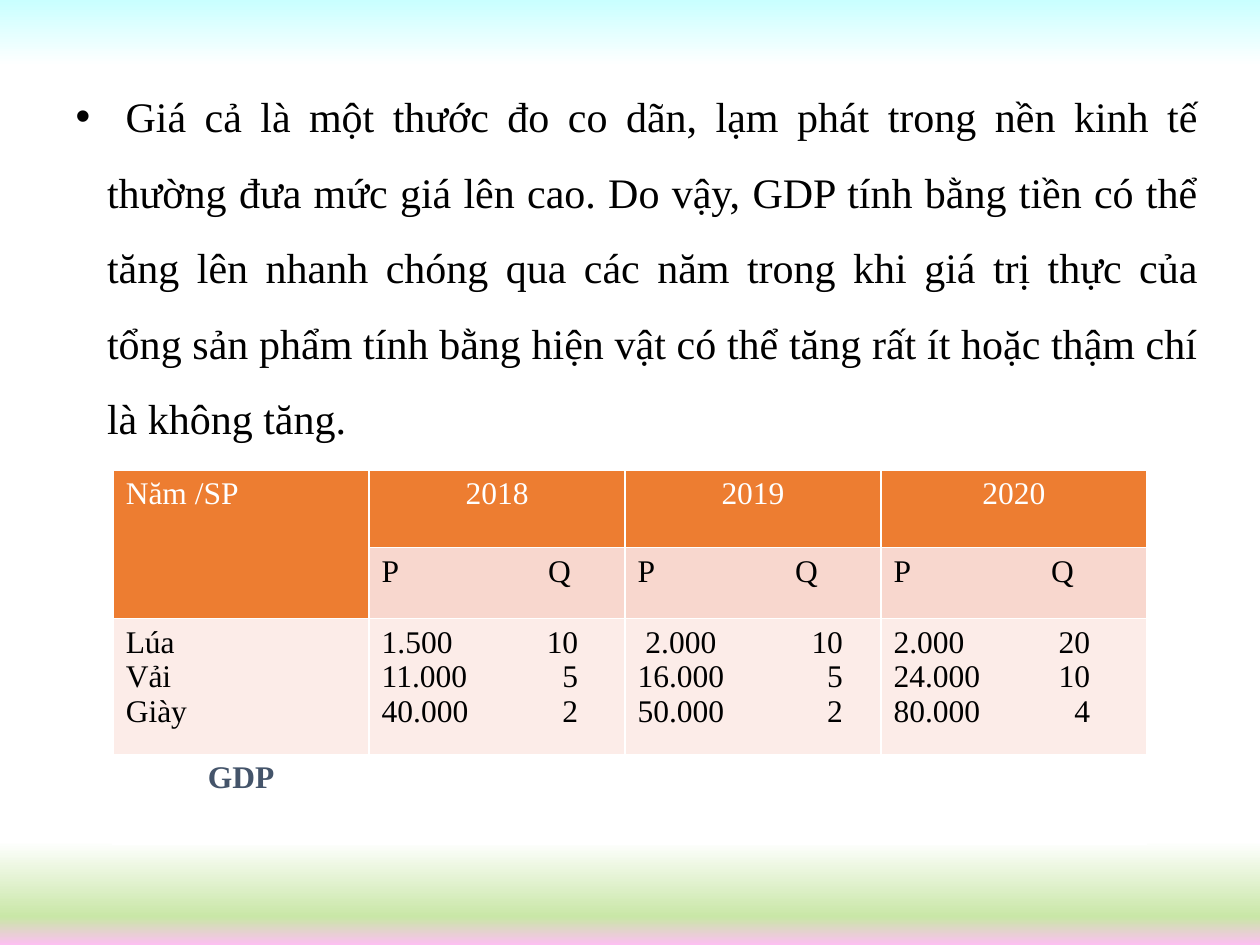
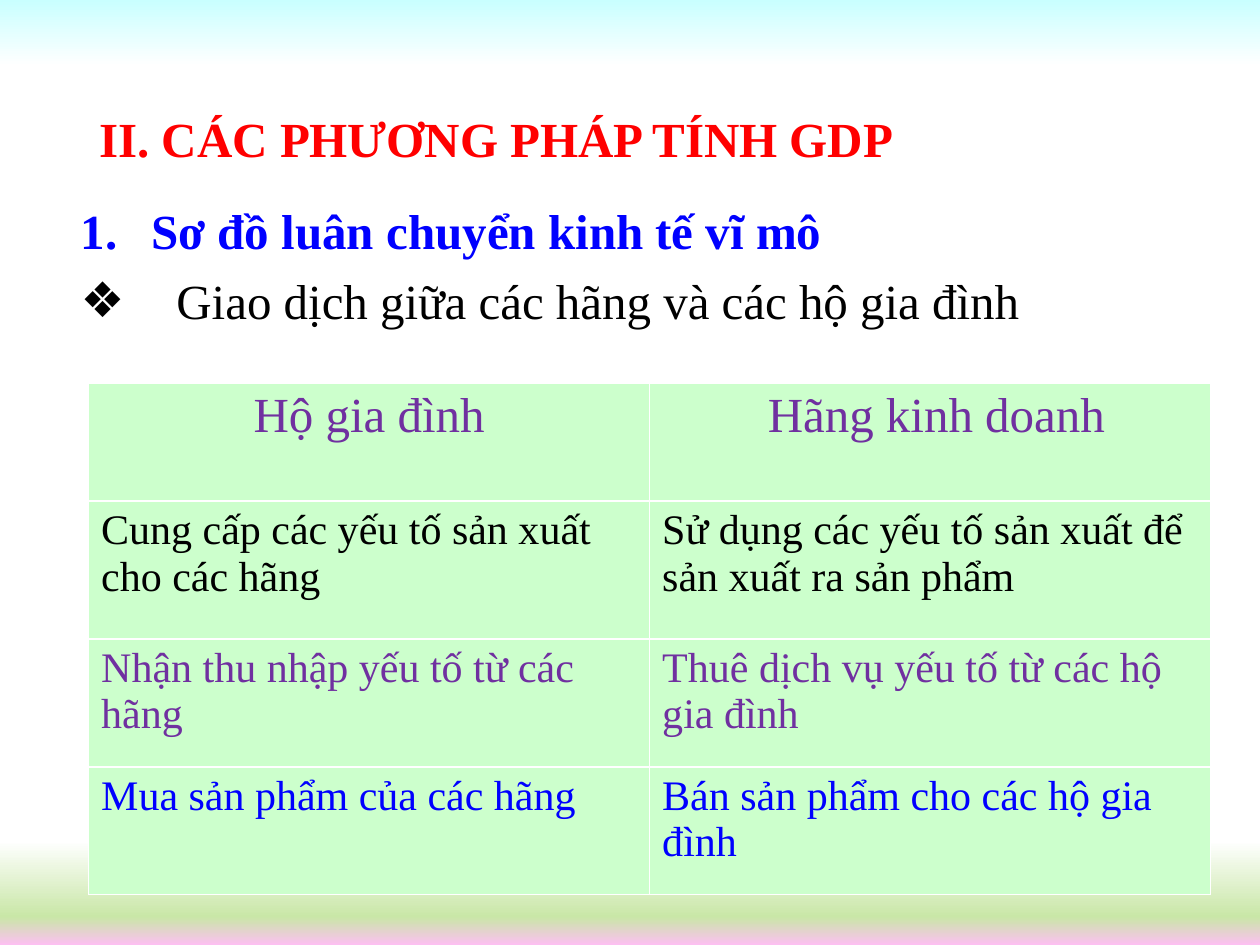
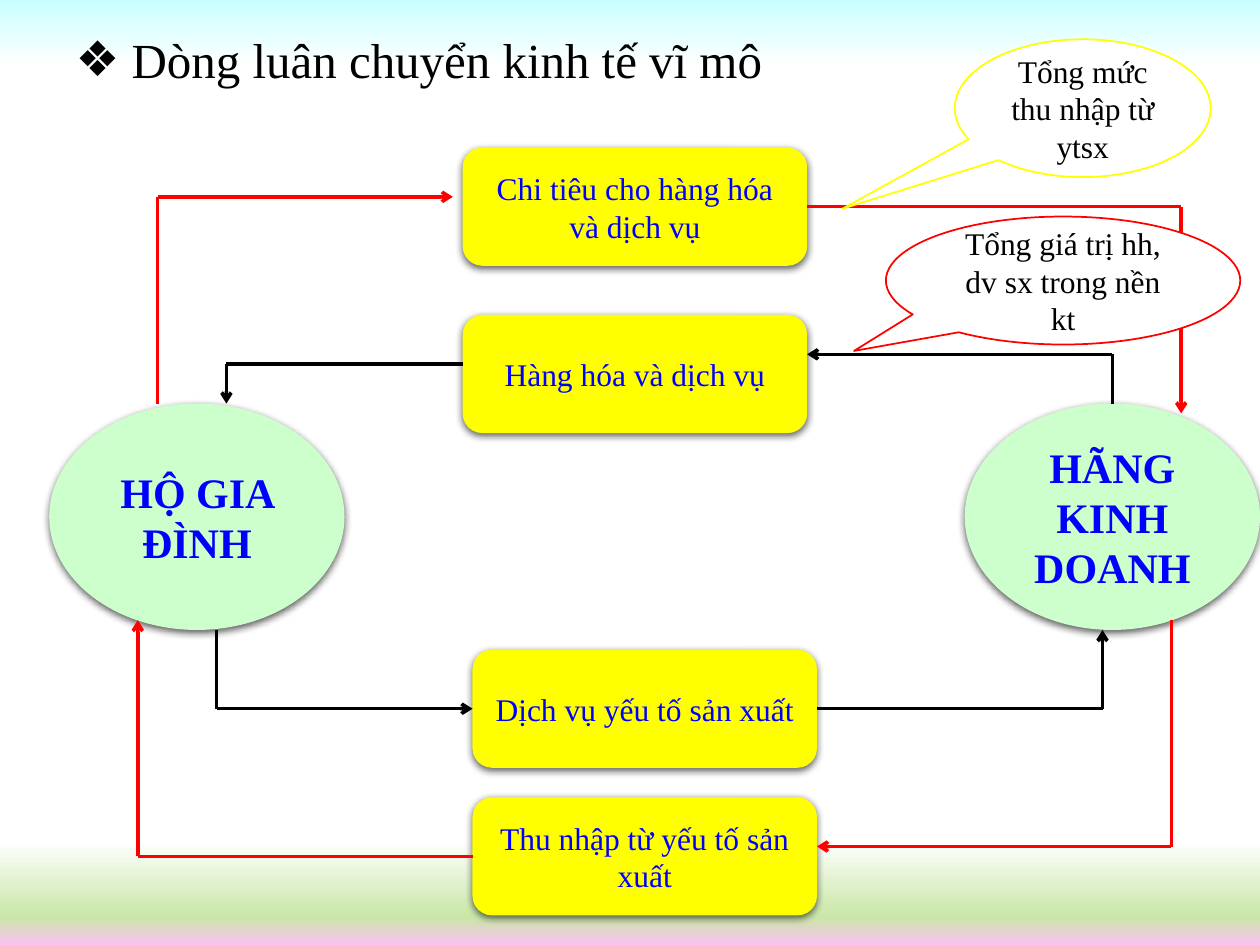
"""Build three slides on GDP and the macroeconomic circular flow."""
import lxml.etree
import pptx
import pptx.dml.color
import pptx.enum.shapes
import pptx.enum.text
import pptx.oxml.ns
import pptx.util

FONT = "Times New Roman"
BLACK, WHITE, RED, BLUE = "000000", "FFFFFF", "FF0000", "0000FF"
YELLOW, MINT, PURPLE, SLATE = "FFFF00", "CCFFCC", "7030A0", "44546A"
ORANGE, PEACH, PALE_PEACH = "ED7D31", "F8D7CE", "FCECE8"
BACKDROP = [(0, "C9FFFF"), (7, WHITE), (89, WHITE), (97, "C9E7A7"), (100, "FCC0F1")]

ALIGN = pptx.enum.text.PP_ALIGN
SHAPE = pptx.enum.shapes.MSO_SHAPE
TOP, LEFT, RIGHT = 0, 1, 3


def rgb(value):
    return pptx.dml.color.RGBColor.from_string(value)


def add_element(parent, tag, **attributes):
    values = {name: str(value) for name, value in attributes.items()}
    return lxml.etree.SubElement(parent, pptx.oxml.ns.qn(tag), values)


def add_solid_fill(parent, color):
    return add_element(add_element(parent, "a:solidFill"), "a:srgbClr", val=color)


def write(text_frame, text, *, size=18, color=BLACK, bold=False, align=ALIGN.LEFT,
          spacing=1.0, before=0, bullet=None, indent=(0, 0), tab=None):
    """Write each line of the text as a paragraph; indent and tab are in inches."""
    for line in text.split("\n"):
        used = bool(text_frame.text)
        paragraph = text_frame.add_paragraph() if used else text_frame.paragraphs[0]
        properties = paragraph._p.get_or_add_pPr()
        if bullet:
            margin, hanging = (pptx.util.Inches(value) for value in indent)
            properties.set("marL", str(margin))
            properties.set("indent", str(hanging))
            if bullet == "1.":
                add_element(properties, "a:buFont", typeface=FONT)
                add_element(properties, "a:buAutoNum", type="arabicPeriod")
            else:
                add_element(properties, "a:buChar", char=bullet)
        if tab:
            position, side = tab
            stops = add_element(properties, "a:tabLst")
            add_element(stops, "a:tab", pos=pptx.util.Inches(position), algn=side)
        paragraph.alignment = align
        paragraph.line_spacing = spacing
        paragraph.space_before = pptx.util.Pt(before if used else 0)
        run = paragraph.add_run()
        run.text = line
        run.font.name = FONT
        run.font.size = pptx.util.Pt(size)
        run.font.bold = bold
        run.font.color.rgb = rgb(color)


class Deck:
    """Hold the shared style and the current slide on a grid of 128 by 96 cells."""

    COLUMNS, ROWS = 128, 96

    def __init__(self):
        self.presentation = pptx.Presentation()
        self.presentation.slide_width = pptx.util.Inches(10)
        self.presentation.slide_height = pptx.util.Inches(7.5)
        self.slide = None
        self.paint_backdrop()

    def paint_backdrop(self):
        master = self.presentation.slide_master
        fill = master.background.fill
        fill.gradient()
        fill.gradient_angle = 270
        stops = master.element.find(".//" + pptx.oxml.ns.qn("a:gsLst"))
        for stop in list(stops):
            stops.remove(stop)
        for share, color in BACKDROP:
            stop = add_element(stops, "a:gs", pos=share * 1000)
            add_element(stop, "a:srgbClr", val=color)

    def x(self, columns):
        return round(self.presentation.slide_width * columns / self.COLUMNS)

    def y(self, rows):
        return round(self.presentation.slide_height * rows / self.ROWS)

    def box(self, column, row, columns, rows):
        return self.x(column), self.y(row), self.x(columns), self.y(rows)

    def place(self, placeholder, area):
        (placeholder.left, placeholder.top,
         placeholder.width, placeholder.height) = self.box(*area)
        placeholder.text_frame.auto_size = pptx.enum.text.MSO_AUTO_SIZE.NONE
        return placeholder.text_frame

    def new_slide(self, title=None):
        layout = self.presentation.slide_layouts[1]
        self.slide = self.presentation.slides.add_slide(layout)
        placeholder = self.slide.shapes.title
        if title:
            text_frame = self.place(placeholder, (8.8, 5.1, 110.3, 18.6))
            text_frame.vertical_anchor = pptx.enum.text.MSO_ANCHOR.MIDDLE
            write(text_frame, title, size=28, color=RED, bold=True, spacing=0.9)
        else:
            placeholder.element.getparent().remove(placeholder.element)

    def body(self, area):
        return self.place(self.slide.placeholders[1], area)

    def table(self, column, row, columns, rows):
        area = self.box(column, row, sum(columns), sum(rows))
        table = self.slide.shapes.add_table(len(rows), len(columns), *area).table
        table.first_row = table.horz_banding = False
        for table_column, width in zip(table.columns, columns):
            table_column.width = self.x(width)
        for table_row, height in zip(table.rows, rows):
            table_row.height = self.y(height)
        return table

    def cell(self, cell, text, fill, **text_format):
        properties = cell._tc.get_or_add_tcPr()
        for side in ("a:lnL", "a:lnR", "a:lnT", "a:lnB"):
            add_solid_fill(add_element(properties, side, w=pptx.util.Pt(1)), WHITE)
        cell.fill.solid()
        cell.fill.fore_color.rgb = rgb(fill)
        if text:
            write(cell.text_frame, text, **text_format)

    def shape(self, kind, area, text, fill, outline=None, **text_format):
        shape = self.slide.shapes.add_shape(kind, *self.box(*area))
        shape.shadow.inherit = False
        shape.fill.solid()
        shape.fill.fore_color.rgb = rgb(fill)
        if outline:
            shape.line.color.rgb = rgb(outline)
            shape.line.width = pptx.util.Pt(1)
        else:
            shape.line.fill.background()
        write(shape.text_frame, text, align=ALIGN.CENTER, **text_format)
        return shape

    def raised(self, kind, area, text, fill, **text_format):
        shape = self.shape(kind, area, text, fill, color=BLUE, **text_format)
        effects = shape.element.spPr.find(pptx.oxml.ns.qn("a:effectLst"))
        shadow = add_element(effects, "a:outerShdw", blurRad=pptx.util.Pt(4.5),
                             dist=pptx.util.Pt(1.5), dir=90 * 60000, rotWithShape=0)
        add_element(add_element(shadow, "a:srgbClr", val=BLACK), "a:alpha", val=63000)
        return shape

    def callout(self, area, text, outline, tip):
        shape = self.shape(SHAPE.OVAL_CALLOUT, area, text, WHITE, outline)
        shape.adjustments[0], shape.adjustments[1] = tip

    def line(self, start, end, color, arrow):
        ends = self.x(start[0]), self.y(start[1]), self.x(end[0]), self.y(end[1])
        straight = pptx.enum.shapes.MSO_CONNECTOR.STRAIGHT
        connector = self.slide.shapes.add_connector(straight, *ends)
        connector.line.color.rgb = rgb(color)
        connector.line.width = pptx.util.Pt(2)
        properties = connector.element.spPr
        if arrow:
            outline = properties.find(pptx.oxml.ns.qn("a:ln"))
            add_element(outline, "a:tailEnd", type="arrow")
        add_element(properties, "a:effectLst")
        return connector

    def flow(self, color, start, corner, end, source=None, target=None):
        first = self.line(start, corner, color, arrow=False)
        last = self.line(corner, end, color, arrow=True)
        if source:
            first.begin_connect(*source)
        if target:
            last.end_connect(*target)


def build_price_slide(deck):
    deck.new_slide()
    write(deck.body((6.4, 6, 116.6, 79.7)),
          " Giá cả là một thước đo co dãn, lạm phát trong nền kinh tế thường đưa mức "
          "giá lên cao. Do vậy, GDP tính bằng tiền có thể tăng lên nhanh chóng qua các "
          "năm trong khi giá trị thực của tổng sản phẩm tính bằng hiện vật có thể tăng "
          "rất ít hoặc thậm chí là không tăng.",
          size=24, align=ALIGN.JUSTIFY, spacing=1.5, bullet="•", indent=(0.25, -0.25))

    table = deck.table(11.5, 47.75, (26, 26, 26, 27), (7.9, 7.2, 13.8, 9.1))
    table.cell(0, 0).merge(table.cell(1, 0))
    deck.cell(table.cell(0, 0), "Năm /SP", ORANGE, color=WHITE)
    deck.cell(table.cell(2, 0), "Lúa\nVải\nGiày", PALE_PEACH)
    deck.cell(table.cell(3, 0), "GDP", WHITE, color=SLATE, bold=True, align=ALIGN.CENTER)
    years = [
        ("2018", "1.500\t10\n11.000\t5\n40.000\t2", 1.32, 1.56),
        ("2019", " 2.000\t10\n16.000\t5\n50.000\t2", 1.25, 1.63),
        ("2020", "2.000\t20\n24.000\t10\n80.000\t4", 1.25, 1.56),
    ]
    for column, (year, figures, heading_tab, figure_tab) in enumerate(years, 1):
        deck.cell(table.cell(0, column), year, ORANGE, color=WHITE, align=ALIGN.CENTER)
        deck.cell(table.cell(1, column), "P\tQ", PEACH, tab=(heading_tab, "l"))
        deck.cell(table.cell(2, column), figures, PALE_PEACH, tab=(figure_tab, "r"))
        deck.cell(table.cell(3, column), "", WHITE)


def build_method_slide(deck):
    deck.new_slide("II. CÁC PHƯƠNG PHÁP TÍNH GDP")
    body = deck.body((6.4, 20.4, 121.6, 63.4))
    write(body, "Sơ đồ luân chuyển kinh tế vĩ mô", size=28, color=BLUE, bold=True,
          spacing=0.9, bullet="1.", indent=(0.6, -0.56))
    write(body, "Giao dịch giữa các hãng và các hộ gia đình", size=28,
          spacing=0.9, before=10, bullet="❖", indent=(0.8, -0.76))

    table = deck.table(9, 38.9, (57, 57), (12, 14, 13, 13))
    rows = [
        ("Hộ gia đình", " Hãng kinh doanh", PURPLE, 28, ALIGN.CENTER),
        ("Cung cấp các yếu tố sản xuất cho các hãng",
         "Sử dụng các yếu tố sản xuất để sản xuất ra sản phẩm", BLACK, 24, ALIGN.LEFT),
        ("Nhận thu nhập yếu tố từ các hãng",
         "Thuê dịch vụ yếu tố từ các hộ gia đình", PURPLE, 24, ALIGN.LEFT),
        ("Mua sản phẩm của các hãng",
         "Bán sản phẩm cho các hộ gia đình", BLUE, 24, ALIGN.LEFT),
    ]
    for row, (household, firm, color, size, align) in enumerate(rows):
        for column, text in enumerate((household, firm)):
            deck.cell(table.cell(row, column), text, MINT,
                      color=color, size=size, align=align)


def build_flow_slide(deck):
    deck.new_slide()
    write(deck.body((6.4, 3, 121.6, 93)), " Dòng luân chuyển kinh tế vĩ mô", size=28,
          spacing=0.9, bullet="❖", indent=(0.25, -0.25))

    spending, goods, services, income = [
        deck.raised(SHAPE.ROUNDED_RECTANGLE, (column, row, 35, 12), text, YELLOW)
        for column, row, text in [
            (47, 15, "Chi tiêu cho hàng hóa và dịch vụ"),
            (47, 32, "Hàng hóa và dịch vụ"),
            (48, 66, "Dịch vụ yếu tố sản xuất"),
            (48, 81, "Thu nhập từ yếu tố sản xuất"),
        ]
    ]
    households, firms = [
        deck.raised(SHAPE.OVAL, (column, 41, 30, 23), text, MINT, size=24, bold=True)
        for column, text in [(5, "HỘ GIA ĐÌNH"), (98, "HÃNG KINH DOANH")]
    ]

    deck.flow(BLACK, (22, 64), (22, 72), (48, 72), target=(services, LEFT))
    deck.flow(BLACK, (83, 72), (112, 72), (112, 64), source=(services, RIGHT))
    deck.flow(RED, (119, 63), (119, 86), (83, 86))
    deck.flow(RED, (48, 87), (14, 87), (14, 63), source=(income, LEFT))
    deck.flow(BLACK, (113, 41), (113, 36), (82, 36), source=(firms, TOP))
    deck.flow(BLACK, (47, 37), (23, 37), (23, 41))
    deck.flow(RED, (16, 41), (16, 20), (46, 20))
    deck.flow(RED, (82, 21), (120, 21), (120, 42), source=(spending, RIGHT))

    deck.callout((90, 22, 36, 13), "Tổng giá trị hh, dv sx trong nền kt", RED, (-0.59, 0.55))
    deck.callout((97, 4, 26, 14), "Tổng mức thu nhập từ ytsx", YELLOW, (-0.94, 0.73))


def main():
    deck = Deck()
    build_price_slide(deck)
    build_method_slide(deck)
    build_flow_slide(deck)
    deck.presentation.save("out.pptx")


if __name__ == "__main__":
    main()
